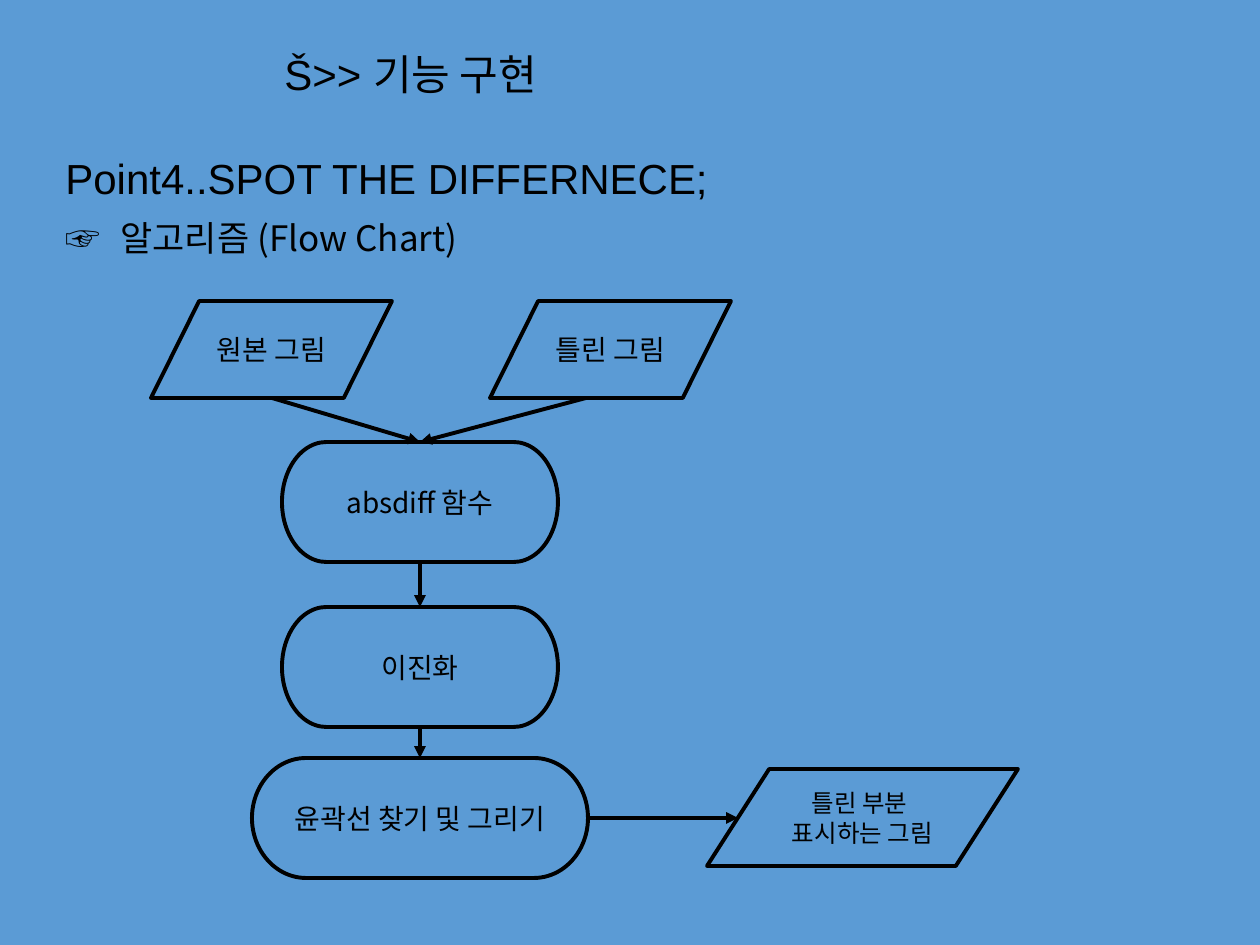
from dataclasses import dataclass

from lxml import etree
from pptx import Presentation
from pptx.dml.color import RGBColor
from pptx.enum.shapes import MSO_CONNECTOR, MSO_SHAPE
from pptx.enum.text import MSO_ANCHOR, PP_ALIGN
from pptx.oxml.ns import qn
from pptx.util import Pt

PX = 914400 / 126
DATA = MSO_SHAPE.FLOWCHART_DATA
TERMINATOR = MSO_SHAPE.FLOWCHART_TERMINATOR
STRAIGHT = MSO_CONNECTOR.STRAIGHT
CENTER = PP_ALIGN.CENTER
MIDDLE = MSO_ANCHOR.MIDDLE
TOP, BOTTOM, RIGHT = 0, 2, 3


@dataclass(frozen=True)
class Theme:
    background: RGBColor = RGBColor(0x5B, 0x9B, 0xD5)
    ink: RGBColor = RGBColor(0, 0, 0)
    line: float = 2.25
    heading: int = 24
    subheading: int = 20
    step: int = 16
    result: int = 14
    latin: str = "Arial"
    korean: str = "Noto Sans CJK KR"


theme = Theme()


def px(*lengths):
    """Turn pixel lengths into EMU."""
    return [round(length * PX) for length in lengths]


def add_run(paragraph, text, size, typeface):
    run = paragraph.add_run()
    run.text = text
    run.font.size = Pt(size)
    run.font.color.rgb = theme.ink
    run.font.name = typeface
    east_asian = etree.SubElement(run.font._element, qn("a:ea"))
    east_asian.set("typeface", typeface)


presentation = Presentation()
presentation.slide_width, presentation.slide_height = px(1260, 945)
slide = presentation.slides.add_slide(presentation.slide_layouts[6])
slide.background.fill.solid()
slide.background.fill.fore_color.rgb = theme.background

# Headings: box, wrap, runs
headings = [
    ((53, 146, 1191, 63), True,
     [("Point4..SPOT THE DIFFERNECE;", theme.heading, theme.latin)]),
    ((272, 42, 372, 63), False,
     [("Š>> ", theme.heading, theme.latin),
      ("기능 구현", theme.heading, theme.korean)]),
    ((53, 210, 1191, 55), True,
     [("☞\t알고리즘 (Flow Chart)", theme.subheading, theme.korean)]),
]
for box, wrap, runs in headings:
    text_frame = slide.shapes.add_textbox(*px(*box)).text_frame
    text_frame.word_wrap = wrap
    paragraph = text_frame.paragraphs[0]
    if "\t" in runs[0][0]:
        tabs = etree.SubElement(paragraph._p.get_or_add_pPr(), qn("a:tabLst"))
        tab = etree.SubElement(tabs, qn("a:tab"))
        tab.set("pos", str(px(55)[0]))
        tab.set("algn", "l")
    for run in runs:
        add_run(paragraph, *run)

# Flow chart steps: preset, box, type size, lines of text
steps = {
    "first image": (DATA, (151, 301, 241, 97), theme.step, ["원본 그림"]),
    "second image": (DATA, (490, 301, 241, 97), theme.step, ["틀린 그림"]),
    "absdiff": (TERMINATOR, (282, 442, 276, 120), theme.step, ["absdiff 함수"]),
    "binarize": (TERMINATOR, (282, 607, 276, 120), theme.step, ["이진화"]),
    "contours": (TERMINATOR, (252, 758, 336, 120), theme.step,
                 ["윤곽선 찾기 및 그리기"]),
    "result": (DATA, (707, 769, 311, 97), theme.result,
               ["틀린 부분 ", "표시하는 그림"]),
}
shapes = {}
for name, (preset, box, size, lines) in steps.items():
    shape = slide.shapes.add_shape(preset, *px(*box))
    shape.shadow.inherit = False
    shape.fill.solid()
    shape.fill.fore_color.rgb = theme.background
    shape.line.color.rgb = theme.ink
    shape.line.width = Pt(theme.line)
    text_frame = shape.text_frame
    text_frame.word_wrap = True
    text_frame.vertical_anchor = MIDDLE
    for index, line in enumerate(lines):
        paragraph = text_frame.add_paragraph() if index else text_frame.paragraphs[0]
        paragraph.alignment = CENTER
        add_run(paragraph, line, size, theme.korean)
    shapes[name] = shape

# Arrows: start and end points, then the step and side each end is joined to
arrows = [
    ((272, 398, 420, 442), None, ("absdiff", TOP)),
    ((586, 398, 420, 442), None, ("absdiff", TOP)),
    ((420, 562, 420, 607), ("absdiff", BOTTOM), ("binarize", TOP)),
    ((420, 727, 420, 758), ("binarize", BOTTOM), ("contours", TOP)),
    ((588, 818, 738, 818), ("contours", RIGHT), None),
]
for points, source, target in arrows:
    connector = slide.shapes.add_connector(STRAIGHT, *px(*points))
    if source:
        connector.begin_connect(shapes[source[0]], source[1])
    if target:
        connector.end_connect(shapes[target[0]], target[1])
    connector.line.color.rgb = theme.ink
    connector.line.width = Pt(theme.line)
    arrowhead = etree.SubElement(connector.line._get_or_add_ln(), qn("a:tailEnd"))
    arrowhead.set("type", "triangle")
    etree.SubElement(connector._element.spPr, qn("a:effectLst"))

presentation.save("out.pptx")
